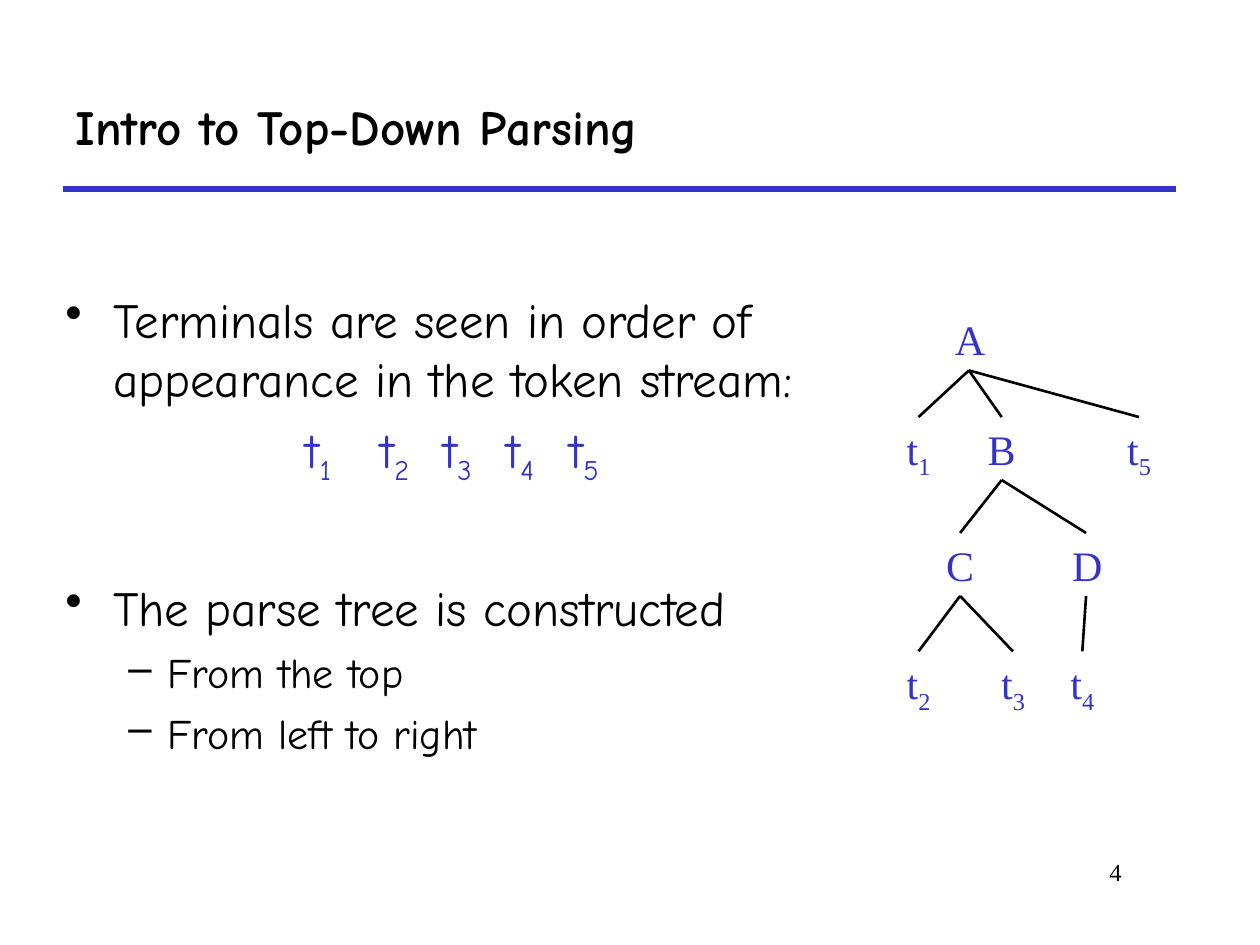
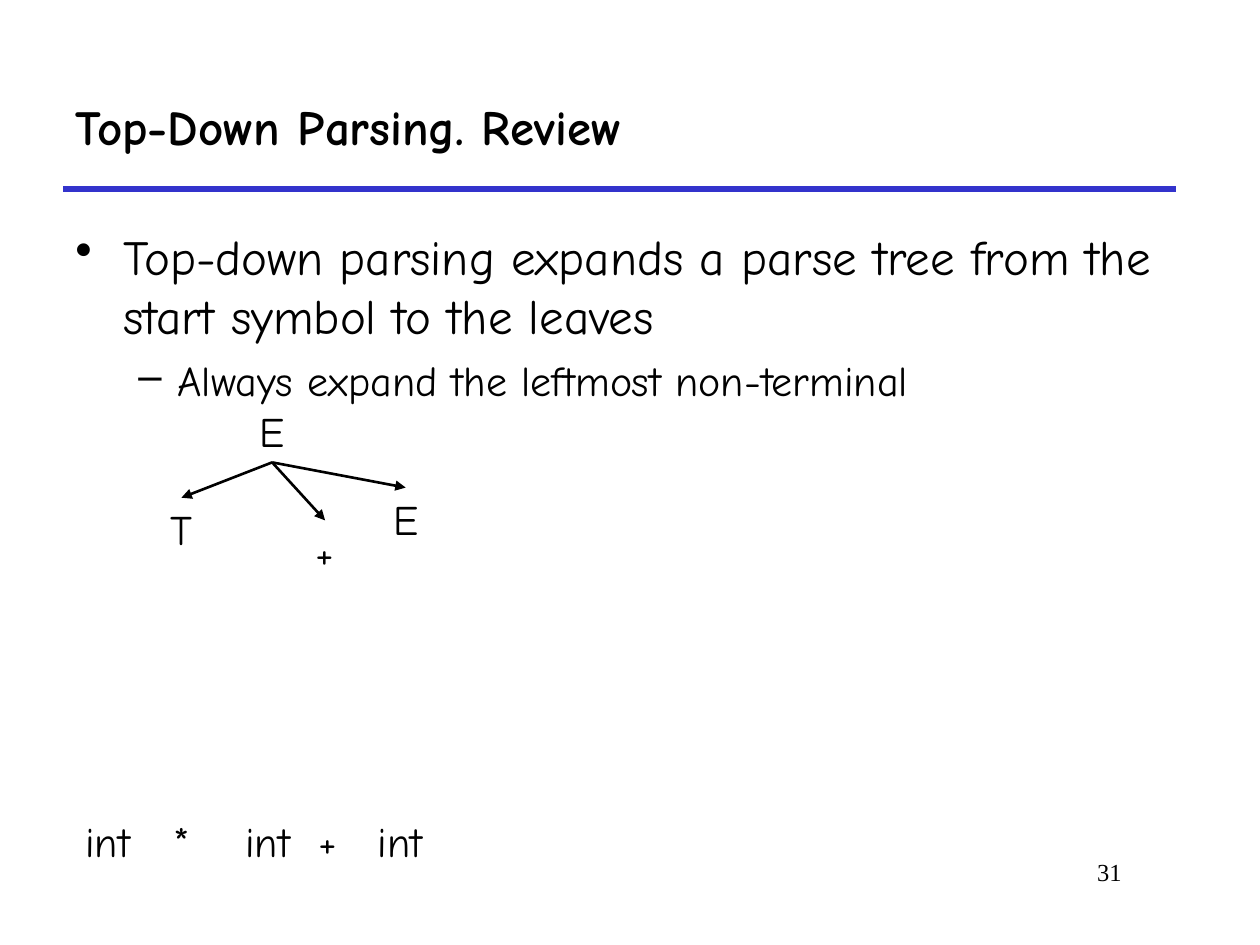
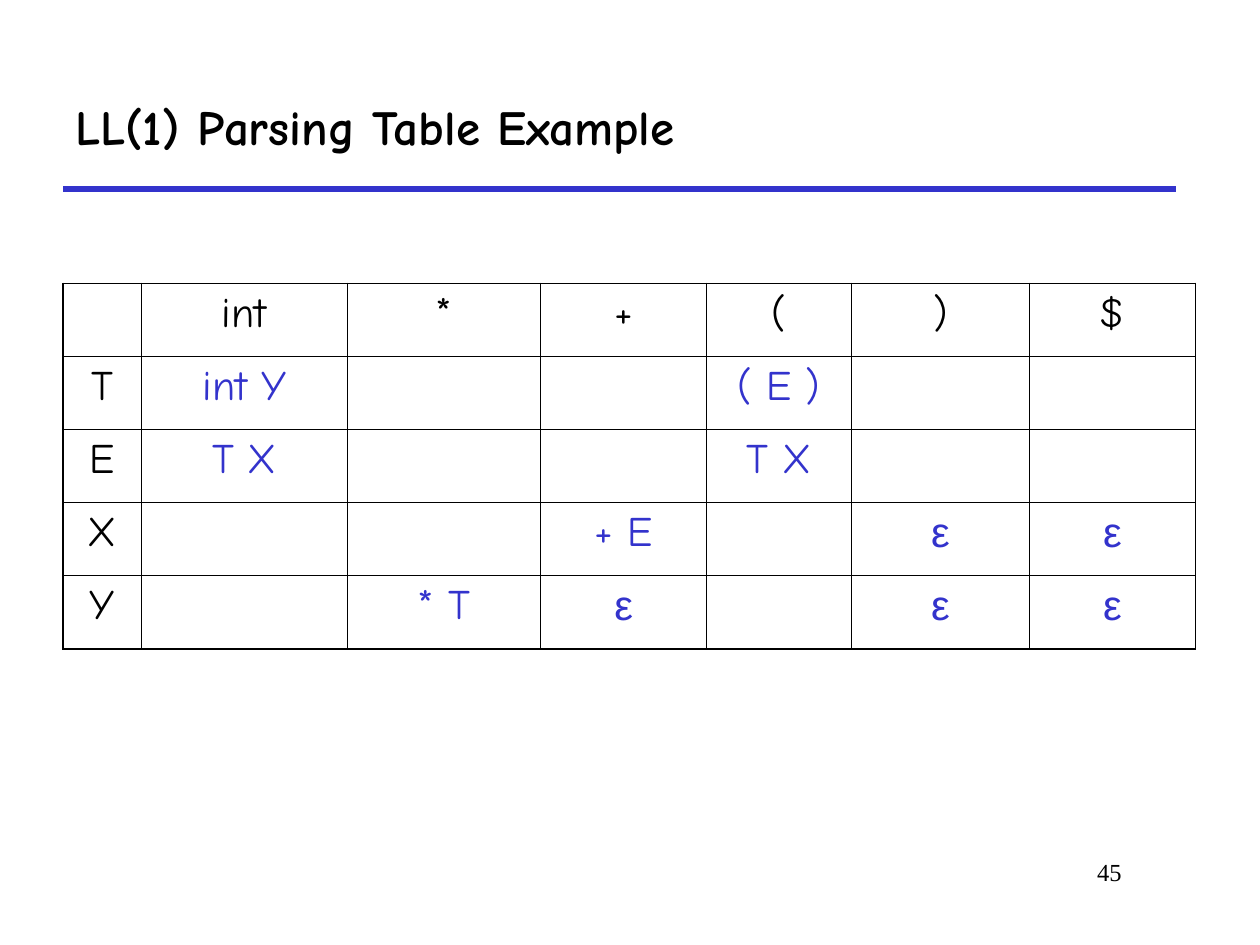
from lxml.etree import SubElement
from pptx import Presentation
from pptx.dml.color import RGBColor as RGB
from pptx.enum.shapes import MSO_CONNECTOR as LINE
from pptx.enum.text import MSO_ANCHOR as ANCHOR, PP_ALIGN as ALIGN
from pptx.oxml.ns import qn
from pptx.util import Inches, Pt

COLORS = {"ink": "000000", "accent": "3333CC"}
HAND, SERIF, GREEK = "Comic Neue", "Times New Roman", "Arial"
BOTTOM, TOP = 2, 0
BULLETS = {0: ("•", 28, 0.38, -0.38), 1: ("–", 24, 0.81, -0.31)}


def style_runs(paragraph, font, size, color="ink", bold=False):
    for run in paragraph.runs:
        run.font.name = font
        run.font.size = Pt(size)
        run.font.bold = bold
        run.font.color.rgb = RGB.from_string(COLORS[color])


def write_symbols(paragraph, symbols):
    for index, symbol in enumerate(symbols):
        base, _, subscript = symbol.partition("_")
        paragraph.add_run().text = ("\t" if index else "") + base
        if subscript:
            lowered = paragraph.add_run()
            lowered.text = subscript
            lowered.font._element.set("baseline", "-25000")


def set_indent(paragraph, margin, first_line):
    properties = paragraph._p.get_or_add_pPr()
    properties.set("marL", str(Inches(margin)))
    properties.set("indent", str(Inches(first_line)))
    return properties


def add_bullet(paragraph, level):
    mark, size, margin, first_line = BULLETS[level]
    properties = set_indent(paragraph, margin, first_line)
    color = SubElement(properties, qn("a:buClr"))
    SubElement(color, qn("a:srgbClr"), val=COLORS["ink"])
    SubElement(properties, qn("a:buChar"), char=mark)
    paragraph.level = level
    style_runs(paragraph, HAND, size)


def add_tabs(paragraph, stops):
    tabs = SubElement(paragraph._p.get_or_add_pPr(), qn("a:tabLst"))
    for stop in stops:
        SubElement(tabs, qn("a:tab"), pos=str(Inches(stop)), algn="l")


def add_text_box(slide, left, top, width, height, wrap=True):
    box = slide.shapes.add_textbox(
        Inches(left), Inches(top), Inches(width), Inches(height))
    box.text_frame.word_wrap = wrap
    return box


def add_line(slide, start, end, color, weight, arrow=False):
    line = slide.shapes.add_connector(
        LINE.STRAIGHT, *(Inches(value) for value in (*start, *end)))
    line.line.color.rgb = RGB.from_string(COLORS[color])
    line.line.width = Pt(weight)
    if arrow:
        SubElement(line.line._get_or_add_ln(), qn("a:tailEnd"), type="triangle")
    SubElement(line._element.spPr, qn("a:effectLst"))
    return line


def add_frame(deck, heading, number):
    slide = deck.slides.add_slide(deck.slide_layouts[6])
    add_line(slide, (0.5, 1.5), (9.33, 1.5), "accent", 3)

    page = add_text_box(slide, 6.92, 6.75, 2.08, 0.5).text_frame
    page.text = str(number)
    page.paragraphs[0].alignment = ALIGN.RIGHT
    style_runs(page.paragraphs[0], SERIF, 14)

    title = add_text_box(slide, 0.5, 0.5, 8.83, 1).text_frame
    title.text = heading
    title.vertical_anchor = ANCHOR.MIDDLE
    style_runs(title.paragraphs[0], HAND, 28, bold=True)
    return slide


def add_points(slide, left, top, width, height, points):
    body = add_text_box(slide, left, top, width, height).text_frame
    for index, (level, text) in enumerate(points):
        paragraph = body.add_paragraph() if index else body.paragraphs[0]
        paragraph.text = text
        add_bullet(paragraph, level)
        if index:
            paragraph.space_before = Pt(6 if level else 7)
    return body


def add_token_stream(paragraph, symbols, start, step):
    write_symbols(paragraph, symbols)
    set_indent(paragraph, 0, start)
    add_tabs(paragraph, [start + step * i for i in range(1, len(symbols))])
    paragraph.space_before = Pt(7)
    style_runs(paragraph, HAND, 28, "accent")


def add_tree(slide, left, top, nodes, font, color, arrow=False):
    boxes = []
    for symbol, center, drop, parent in nodes:
        width, height = (0.39, 0.56) if "_" in symbol else (0.42, 0.5)
        box = add_text_box(slide, left + center - width / 2, top + drop,
                           width, height, wrap=False)
        label = box.text_frame.paragraphs[0]
        write_symbols(label, [symbol])
        label.alignment = ALIGN.CENTER
        style_runs(label, font, 24, color)
        boxes.append(box)
        if parent is not None:
            edge = add_line(slide, (left, top), (left + center, top + drop),
                            "ink", 1.5, arrow)
            edge.begin_connect(boxes[parent], BOTTOM)
            edge.end_connect(box, TOP)


def add_input_row(slide, left, top, tokens, stops):
    row = add_text_box(slide, left, top, 3, 0.5).text_frame.paragraphs[0]
    write_symbols(row, tokens)
    add_tabs(row, stops)
    style_runs(row, HAND, 24)


def set_borders(cell, weights):
    properties = cell._tc.get_or_add_tcPr()
    for side, weight in weights.items():
        border = SubElement(properties, qn(f"a:ln{side}"), w=str(Pt(weight)))
        fill = SubElement(border, qn("a:solidFill"))
        SubElement(fill, qn("a:srgbClr"), val=COLORS["ink"])


def add_parsing_table(slide, left, top, widths, row_height, entries):
    last_row, last_column = len(entries) - 1, len(widths) - 1
    table = slide.shapes.add_table(
        len(entries), len(widths), Inches(left), Inches(top),
        Inches(sum(widths)), Inches(row_height * len(entries))).table
    table.first_row = table.horz_banding = False
    for column, width in zip(table.columns, widths):
        column.width = Inches(width)
    for r, entry_row in enumerate(entries):
        table.rows[r].height = Inches(row_height)
        for c, entry in enumerate(entry_row):
            cell = table.cell(r, c)
            outer = {"L": c == 0, "R": c == last_column,
                     "T": r == 0, "B": r == last_row}
            set_borders(cell, {side: 1.08 if edge else 0.45
                               for side, edge in outer.items()})
            cell.fill.background()
            cell.text = entry
            paragraph = cell.text_frame.paragraphs[0]
            paragraph.alignment = ALIGN.CENTER
            style_runs(paragraph, GREEK if entry == "ε" else HAND, 24,
                       "accent" if r and c else "ink")


def build_intro(deck):
    slide = add_frame(deck, "Intro to Top-Down Parsing", 4)
    body = add_points(slide, 0.42, 2.25, 6.25, 4.25, [
        (0, "Terminals are seen in order of appearance in the token stream:"),
        (0, "The parse tree is constructed"),
        (1, "From the top"),
        (1, "From left to right"),
    ])
    stream = body.add_paragraph()
    add_token_stream(stream, ["t_1", "t_2", "t_3", "t_4", "t_5"], 1.91, 0.48)
    body.paragraphs[0]._p.addnext(stream._p)
    body.paragraphs[2].space_before = Pt(52)
    add_tree(slide, 7.09, 2.44, [
        ("A", 0.6, 0, None),
        ("t_1", 0.2, 0.87, 0),
        ("B", 0.86, 0.87, 0),
        ("t_5", 1.95, 0.87, 0),
        ("C", 0.53, 1.79, 2),
        ("D", 1.53, 1.79, 2),
        ("t_2", 0.2, 2.73, 4),
        ("t_3", 0.95, 2.73, 4),
        ("t_4", 1.5, 2.73, 5),
    ], SERIF, "accent")


def build_review(deck):
    slide = add_frame(deck, "Top-Down Parsing. Review", 31)
    add_points(slide, 0.5, 1.75, 9.08, 4.83, [
        (0, "Top-down parsing expands a parse tree from the start symbol "
            "to the leaves"),
        (1, "Always expand the leftmost non-terminal"),
    ])
    add_tree(slide, 1.25, 3.17, [
        ("E", 0.91, 0, None),
        ("T", 0.19, 0.78, 0),
        ("+", 1.33, 0.96, 0),
        ("E", 1.97, 0.7, 0),
    ], HAND, "ink", arrow=True)
    add_input_row(slide, 0.58, 6.42, ["int", "*", "int", "+", "int"],
                  [0.7, 1.27, 1.85, 2.32])


def build_table_example(deck):
    slide = add_frame(deck, "LL(1) Parsing Table Example", 45)
    add_parsing_table(
        slide, 0.5, 2.25, [0.62, 1.64, 1.53, 1.32, 1.15, 1.41, 1.32], 0.58, [
            ["", "int", "*", "+", "(", ")", "$"],
            ["T", "int Y", "", "", "( E )", "", ""],
            ["E", "T X", "", "", "T X", "", ""],
            ["X", "", "", "+ E", "", "ε", "ε"],
            ["Y", "", "* T", "ε", "", "ε", "ε"],
        ])


def main():
    deck = Presentation()
    deck.slide_width, deck.slide_height = Inches(10), Inches(7.5)
    build_intro(deck)
    build_review(deck)
    build_table_example(deck)
    deck.save("out.pptx")


if __name__ == "__main__":
    main()
